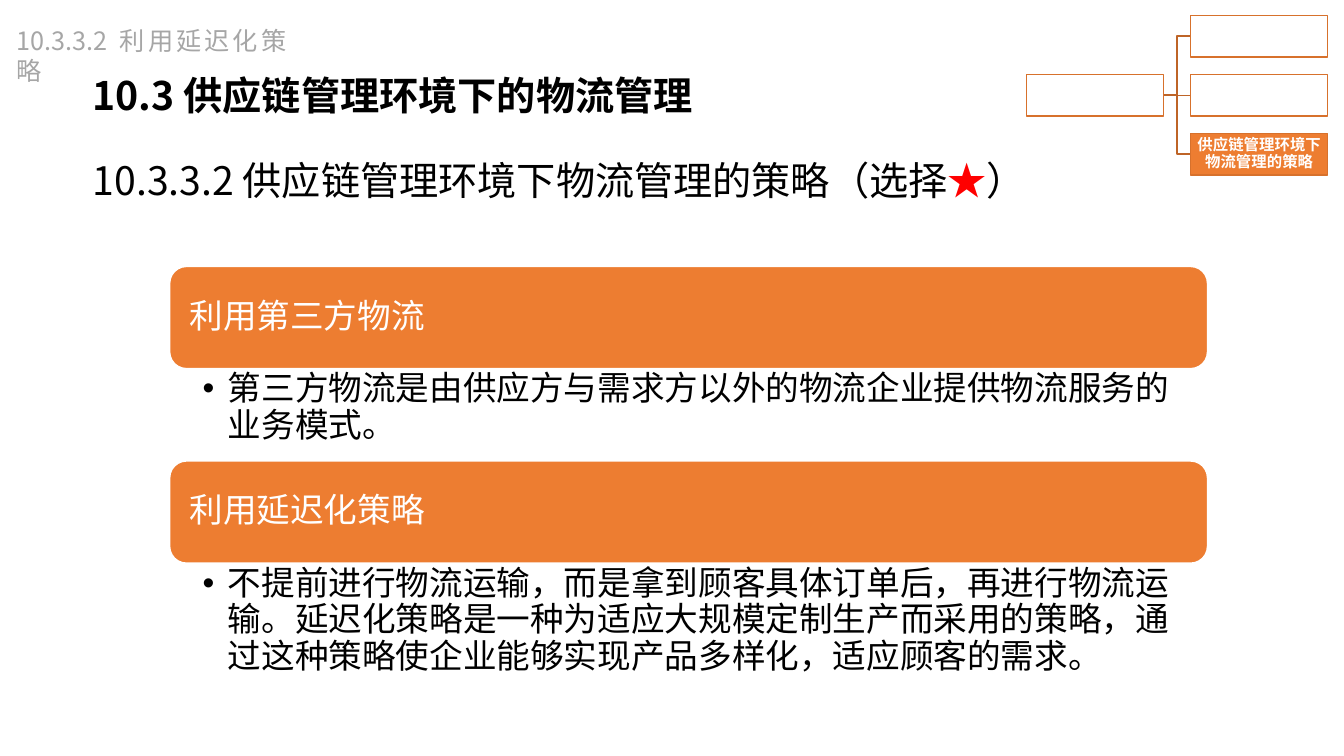
import pptx
import pptx.util
import pptx.dml.color
import pptx.enum.shapes
import pptx.enum.text
import pptx.oxml.ns
from lxml import etree
from pptx.util import Inches

SC = "Noto Sans CJK SC"
JP = "Noto Sans CJK JP"
ORANGE = "ED7D31"
WHITE = "FFFFFF"
BLACK = "000000"
ALIGN = pptx.enum.text.PP_ALIGN
ANCHOR = pptx.enum.text.MSO_ANCHOR
SHAPE = pptx.enum.shapes.MSO_SHAPE
LINK = pptx.enum.shapes.MSO_CONNECTOR
qn = pptx.oxml.ns.qn


def color(code):
    return pptx.dml.color.RGBColor.from_string(code)


def place(shape, left, top, width, height):
    shape.left, shape.top = Inches(left), Inches(top)
    shape.width, shape.height = Inches(width), Inches(height)


def write(shape, runs, size, face, bold=False, align=ALIGN.LEFT, anchor=ANCHOR.TOP,
          inset=(0.1, 0.05, 0.1, 0.05), space=1.0, after=0, bullet=False):
    """Fill a shape with one paragraph of (text, colour) runs."""
    frame = shape.text_frame
    frame.word_wrap = True
    frame.auto_size = pptx.enum.text.MSO_AUTO_SIZE.NONE
    frame.vertical_anchor = anchor
    frame.margin_left, frame.margin_top, frame.margin_right, frame.margin_bottom = map(Inches, inset)
    para = frame.paragraphs[0]
    para.alignment = align
    para.line_spacing = space
    para.space_before = pptx.util.Pt(0)
    para.space_after = pptx.util.Pt(after)
    if bullet:
        props = para._p.get_or_add_pPr()
        props.set("marL", str(Inches(0.25)))
        props.set("indent", str(Inches(-0.25)))
        etree.SubElement(props, qn("a:buChar")).set("char", "•")
    for text, code in runs:
        run = para.add_run()
        run.text = text
        font = run.font
        font.size, font.bold, font.name = pptx.util.Pt(size), bold, face
        font.color.rgb = color(code)
        # East Asian typeface
        etree.SubElement(run._r.get_or_add_rPr(), qn("a:ea")).set("typeface", face)


def label(slide, box, runs, size, **style):
    shape = slide.shapes.add_textbox(0, 0, 0, 0)
    place(shape, *box)
    write(shape, runs, size, SC, **style)


def block(slide, kind, box, fill, edge, weight):
    shape = slide.shapes.add_shape(kind, *map(Inches, box))
    shape.shadow.inherit = False
    shape.fill.solid()
    shape.fill.fore_color.rgb = color(fill)
    shape.line.color.rgb = color(edge)
    shape.line.width = pptx.util.Pt(weight)
    return shape


def link(slide, kind, start, end):
    line = slide.shapes.add_connector(kind, *map(Inches, start + end))
    line.line.color.rgb = color("BE6427")
    line.line.width = pptx.util.Pt(1)
    etree.SubElement(line._element.spPr, qn("a:effectLst"))


def topic(slide, holder, top, name, detail, height):
    """Orange bar with a bulleted explanation below it."""
    left, width, bar = 1.68, 10.3, 1.02
    shape = block(slide, SHAPE.ROUNDED_RECTANGLE, (left, top, width, bar), ORANGE, WHITE, 1.5)
    write(shape, [(name, WHITE)], 24, JP, anchor=ANCHOR.MIDDLE,
          inset=(0.15, 0.15, 0.15, 0.15), space=0.9, after=8.4)
    place(holder, left, top + bar, width, height)
    write(holder, [(detail, BLACK)], 24, JP, inset=(0.33, 0.03, 0.19, 0.03),
          space=0.9, after=4.8, bullet=True)


def tree(slide):
    """Small section map in the top right corner."""
    width, height, root, leaf, mid = 1.36, 0.41, 10.18, 11.81, 0.74
    tops = [mid + step * 0.585 for step in (-1, 0, 1)]
    start = (root + width, mid + height / 2)
    for top in tops:
        kind = LINK.STRAIGHT if top == mid else LINK.ELBOW
        link(slide, kind, start, (leaf, top + height / 2))
    block(slide, SHAPE.RECTANGLE, (root, mid, width, height), WHITE, "D7712C", 1)
    for top in tops:
        last = top == tops[-1]
        shape = block(slide, SHAPE.RECTANGLE, (leaf, top, width, height),
                      ORANGE if last else WHITE, "D7712C", 1)
    write(shape, [("供应链管理环境下物流管理的策略", WHITE)], 11, SC, bold=True,
          align=ALIGN.CENTER, anchor=ANCHOR.MIDDLE,
          inset=(0.01, 0.01, 0.01, 0.01), space=0.9, after=3.85)


def main():
    deck = pptx.Presentation()
    deck.slide_width, deck.slide_height = Inches(13.33), Inches(7.5)
    slide = deck.slides.add_slide(deck.slide_layouts.get_by_name("Two Content"))
    title, first, second = list(slide.placeholders)[:3]
    wide = (0.12, 0.06, 0.12, 0.06)

    # Headings
    place(title, 0.8, 0.65, 11.45, 0.59)
    write(title, [("10.3 供应链管理环境下的物流管理", BLACK)], 28, SC, bold=True, inset=wide)
    label(slide, (0.07, 0.2, 2.87, 0.4), [("10.3.3.2 利用延迟化策略", "A6A6A6")], 18,
          align=ALIGN.JUSTIFY)
    label(slide, (0.8, 1.15, 12.16, 1.04),
          [("10.3.3.2 供应链管理环境下物流管理的策略（选择", BLACK), ("★", "FF0000"), ("）", BLACK)],
          28, anchor=ANCHOR.MIDDLE, inset=wide, space=1.5)

    # Strategies
    topic(slide, first, 2.64, "利用第三方物流",
          "第三方物流是由供应方与需求方以外的物流企业提供物流服务的业务模式。", 0.91)
    topic(slide, second, 4.57, "利用延迟化策略",
          "不提前进行物流运输，而是拿到顾客具体订单后，再进行物流运输。"
          "延迟化策略是一种为适应大规模定制生产而采用的策略，"
          "通过这种策略使企业能够实现产品多样化，适应顾客的需求。", 1.25)

    # Section map
    tree(slide)
    deck.save("out.pptx")


if __name__ == "__main__":
    main()
